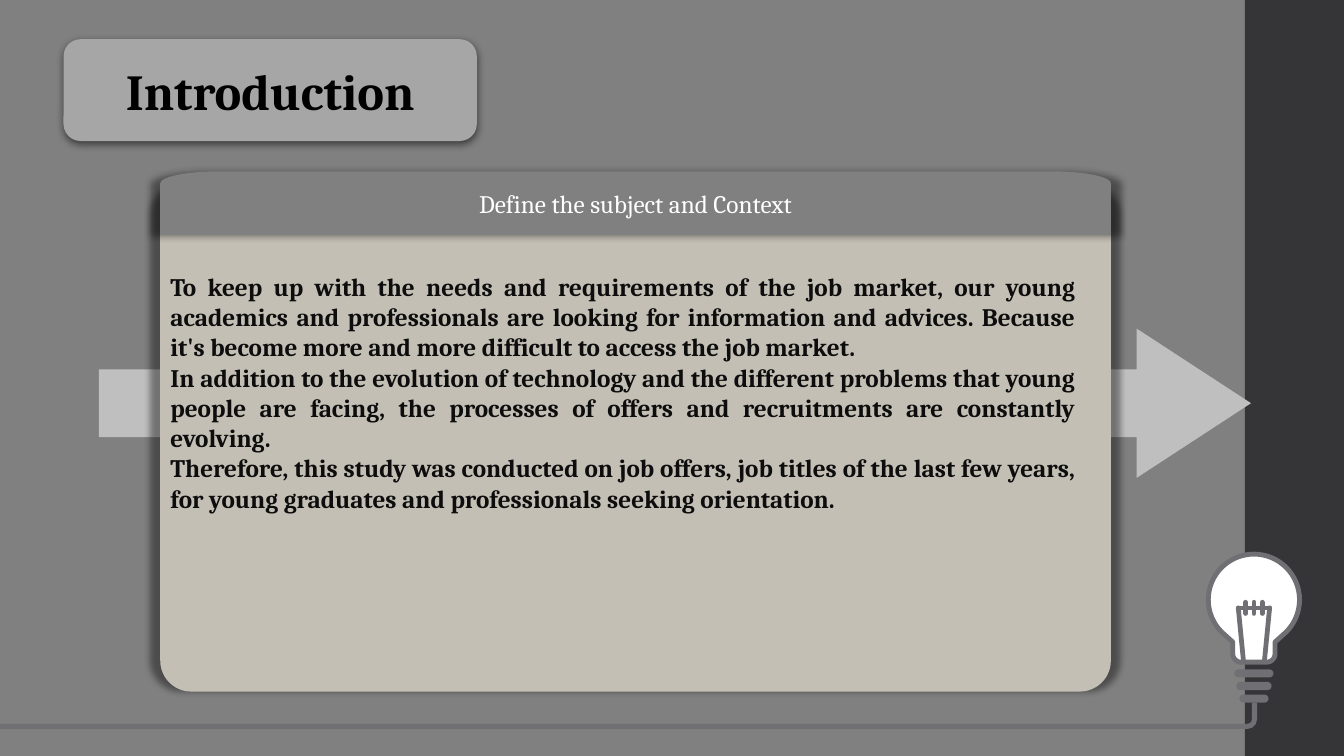
from math import cos, radians, sin

from lxml import etree
from pptx import Presentation
from pptx.dml.color import RGBColor
from pptx.enum.shapes import MSO_CONNECTOR, MSO_SHAPE
from pptx.enum.text import MSO_ANCHOR, MSO_AUTO_SIZE, PP_ALIGN
from pptx.oxml.ns import qn
from pptx.util import Pt

RECT, ROUND = MSO_SHAPE.RECTANGLE, MSO_SHAPE.ROUNDED_RECTANGLE
ARROW, BLOCK_ARC = MSO_SHAPE.RIGHT_ARROW, MSO_SHAPE.BLOCK_ARC
STRAIGHT = MSO_CONNECTOR.STRAIGHT
MIDDLE, TOP = MSO_ANCHOR.MIDDLE, MSO_ANCHOR.TOP
CENTER, JUSTIFY = PP_ALIGN.CENTER, PP_ALIGN.JUSTIFY

TITLE = "Introduction"
HEADING = "Define the subject and Context"
BODY = [
    "To keep up with the needs and requirements of the job market, our young "
    "academics and professionals are looking for information and advices. "
    "Because it's become more and more difficult to access the job market.",
    "In addition to the evolution of technology and the different problems that "
    "young people are facing, the processes of offers and recruitments are "
    "constantly evolving.",
    "Therefore, this study was conducted on job offers, job titles of the last "
    "few years, for young graduates and professionals seeking orientation.",
]
COLORS = {
    "back": "808080", "band": "353537", "bulb": "6F6F74", "glass": "FFFFFF",
    "arrow": "BFBFBF", "card": "C3BFB5", "title": "A6A6A6",
    "black": "000000", "ink": "0D0D0D", "white": "FFFFFF",
}
FONT = "Cambria"

# Boxes: left, top, width, height
TITLE_BOX = (45.4, 28, 295.2, 72.7)
CARD_BOX = (114.5, 131.8, 679, 362.2)
HEADER_BOX = (114.5, 122.4, 679, 45.6)
BODY_BOX = (114.5, 190.1, 661, 247)
HEADER_CORNER = (41.5, 8.6)

BULB_X, BULB_Y, BULB_R = 895.7, 428.4, 32.6
NECK_HALF, NECK_TOP, NECK_BOTTOM, NECK_CORNER = 15.1, 458.6, 473, 6
SCREW_WIDTHS, SCREW_TOP, SCREW_STEP, SCREW_H = (28, 25.2, 20.9), 478.1, 9, 5.8
BAR_Y, BAR_HALF, FOOT_HALF, FOOT_Y = 434.2, 11.2, 7.5, 472
COIL_STEP, COIL_HALF = 5.9, 4

prs = Presentation()
prs.slide_width, prs.slide_height = Pt(960), Pt(540)
slide = prs.slides.add_slide(prs.slide_layouts[1])


def rgb(name):
    return RGBColor.from_string(COLORS[name])


def paint(sp, color):
    sp.fill.solid()
    sp.fill.fore_color.rgb = rgb(color)
    sp.line.fill.background()
    sp.shadow.inherit = False
    return sp


def add_shape(kind, box, color, *adjustments):
    sp = slide.shapes.add_shape(kind, *(Pt(v) for v in box))
    for i, value in enumerate(adjustments):
        sp.adjustments[i] = value
    return paint(sp, color)


def add_outline(points, color):
    points = [(Pt(x), Pt(y)) for x, y in points]
    builder = slide.shapes.build_freeform(*points[0], scale=1.0)
    builder.add_line_segments(points[1:], close=True)
    return paint(builder.convert_to_shape(), color)


def add_stroke(x1, y1, x2, y2, color, width):
    """Draw a round-ended line."""
    line = slide.shapes.add_connector(STRAIGHT, Pt(x1), Pt(y1), Pt(x2), Pt(y2))
    line.line.color.rgb = rgb(color)
    line.line.width = Pt(width)
    line.line._get_or_add_ln().set("cap", "rnd")
    etree.SubElement(line._element.spPr, qn("a:effectLst"))


def arc(cx, cy, rx, ry, start, end, steps=12):
    """Points on an ellipse; degrees run clockwise from the right."""
    angles = [radians(start + (end - start) * i / steps) for i in range(steps + 1)]
    return [(cx + rx * cos(a), cy + ry * sin(a)) for a in angles]


def add_shadow(sp, alpha, blur, dist=0, direction=0, widen=100):
    effects = sp._element.spPr.find(qn("a:effectLst"))
    shadow = etree.SubElement(
        effects, qn("a:outerShdw"), blurRad=str(Pt(blur)), dist=str(Pt(dist)),
        dir=str(direction * 60000), sx=str(widen * 1000), algn="ctr", rotWithShape="0")
    color = etree.SubElement(shadow, qn("a:srgbClr"), val=COLORS["black"])
    etree.SubElement(color, qn("a:alpha"), val=str(alpha * 1000))


def write(sp, lines, size, color, align=CENTER, bold=False, anchor=MIDDLE):
    tf = sp.text_frame
    tf.word_wrap = True
    tf.auto_size = MSO_AUTO_SIZE.NONE
    tf.vertical_anchor = anchor
    for i, line in enumerate(lines):
        p = tf.add_paragraph() if i else tf.paragraphs[0]
        pPr = p._p.get_or_add_pPr()
        pPr.set("marL", "0")
        pPr.set("indent", "0")
        etree.SubElement(pPr, qn("a:buNone"))
        p.alignment = align
        p.space_before = Pt(0)
        r = p.add_run()
        r.text = line
        r.font.name, r.font.size, r.font.bold = FONT, Pt(size), bold
        r.font.color.rgb = rgb(color)


def place(sp, box):
    """Move a placeholder to a box and bring it to the front."""
    sp.left, sp.top, sp.width, sp.height = (Pt(v) for v in box)
    slide.shapes._spTree.append(sp._element)


def draw_bulb():
    half, corner = NECK_HALF, NECK_CORNER
    low = NECK_BOTTOM - corner
    glass = add_outline(
        arc(BULB_X, BULB_Y, BULB_R, BULB_R, 135, 405, 48)
        + [(BULB_X + half, NECK_TOP)]
        + arc(BULB_X + half - corner, low, corner, corner, 0, 90)
        + arc(BULB_X - half + corner, low, corner, corner, 90, 180)
        + [(BULB_X - half, NECK_TOP)], "glass")
    glass.line.color.rgb = rgb("bulb")
    glass.line.width = Pt(3.5)

    for i, width in enumerate(SCREW_WIDTHS):
        box = (BULB_X - width / 2, SCREW_TOP + i * SCREW_STEP, width, SCREW_H)
        add_shape(ROUND, box, "bulb", 0.5)

    add_stroke(BULB_X - BAR_HALF, BAR_Y, BULB_X + BAR_HALF, BAR_Y, "bulb", 3)
    for side in (-1, 1):
        add_stroke(BULB_X + side * BAR_HALF, BAR_Y,
                   BULB_X + side * FOOT_HALF, FOOT_Y, "bulb", 3.4)
    for i in (-1, 0, 1):
        x = BULB_X + i * COIL_STEP
        add_stroke(x, BAR_Y - COIL_HALF, x, BAR_Y + COIL_HALF, "bulb", 3.4)

    add_shape(RECT, (0, 517, 890.6, 3.7), "bulb")
    add_shape(RECT, (894.2, 501.8, 3.7, 12), "bulb")
    add_shape(BLOCK_ARC, (884.2, 507, 13.7, 13.7), "bulb", 213.39, 60.92, 0.27)


fill = slide.background.fill
fill.solid()
fill.fore_color.rgb = rgb("back")
add_shape(RECT, (889.2, 0, 70.8, 540), "band")
draw_bulb()
add_shape(ARROW, (70.6, 234.7, 823, 106.6), "arrow", 0.453, 0.766)

card = add_shape(ROUND, CARD_BOX, "card", 0.061)
add_shadow(card, 40, 5, widen=102)

x, y, w, h = HEADER_BOX
rx, ry = HEADER_CORNER
header = add_outline(
    arc(x + rx, y + ry, rx, ry, 180, 270)
    + arc(x + w - rx, y + ry, rx, ry, 270, 360)
    + [(x + w, y + h), (x, y + h)], "back")
add_shadow(header, 40, 5, widen=102)
write(header, [HEADING], 18, "white")

body = slide.placeholders[1]
place(body, BODY_BOX)
write(body, BODY, 18, "ink", align=JUSTIFY, bold=True, anchor=TOP)

plate = add_shape(ROUND, TITLE_BOX, "title")
add_shadow(plate, 55, 6, 2, 90)
title = slide.shapes.title
place(title, TITLE_BOX)
write(title, [TITLE], 36, "black", bold=True)

prs.save("out.pptx")
